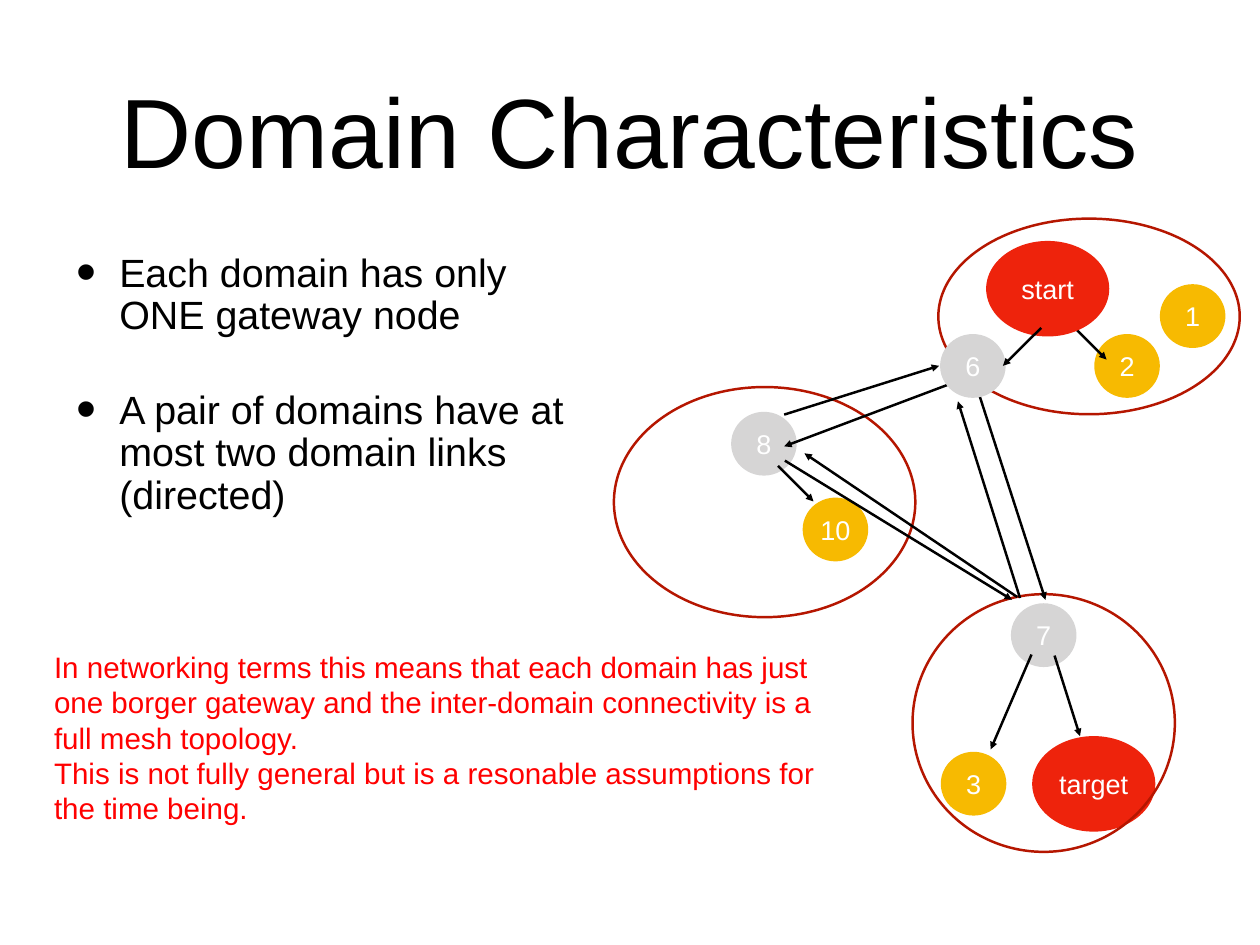
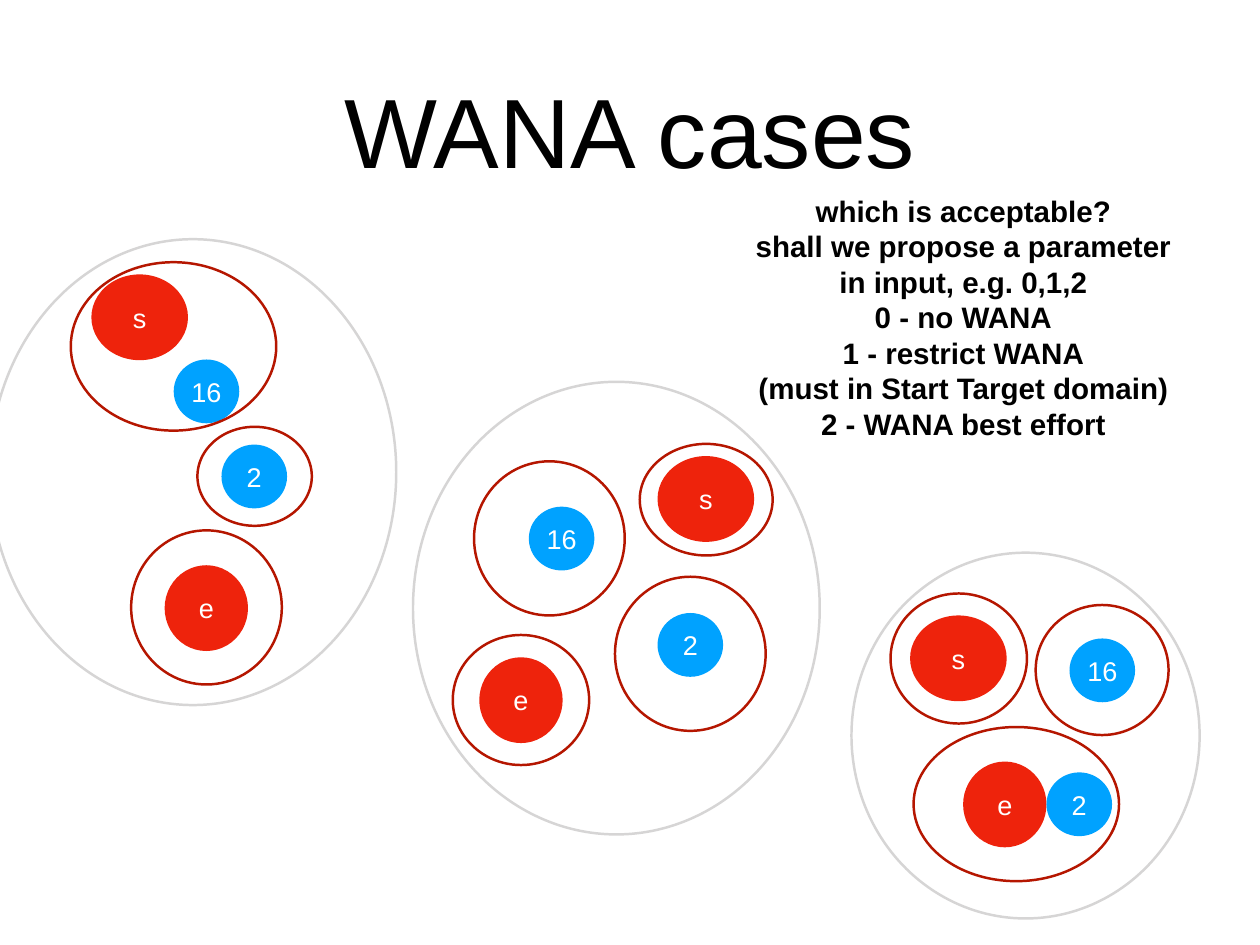
from lxml import etree
from pptx import Presentation
from pptx import util as u
from pptx.dml import color as c
from pptx.enum import shapes, text
from pptx.oxml import ns

FONT = "Arial"
BLACK, WHITE, NOTE_RED = "000000", "FFFFFF", "FF0000"
RED, GREY, YELLOW, BLUE, RING = "EE230C", "D6D5D5", "F7BA01", "00A2FF", "B51600"
INSET = 0.15
LINE_WIDTH = 2
NODE_SIZE = (1.88, 1.83)
ENDPOINT_SIZE = (3.53, 2.74)
START_SIZE = (2.77, 2.46)
END_SIZE = (2.39, 2.46)

RINGS = [
    (26.9, 6.27, 8.64, 5.61),
    (26.16, 17.04, 7.52, 7.39),
    (17.6, 11.1, 8.64, 6.6),
]
DOMAIN_NODES = [
    ("8", 20.96, 11.81, GREY),
    ("7", 28.98, 17.3, GREY),
    ("1", 33.25, 8.15, YELLOW),
    ("2", 31.37, 9.58, YELLOW),
    ("3", 26.97, 21.56, YELLOW),
    ("10", 23.01, 14.27, YELLOW),
]
ARROWS_BELOW_START = [
    (27.61, 10.87, 22.48, 12.8),
    (30.71, 9.3, 31.72, 10.31),
    (27.99, 11.07, 29.97, 17.2),
]
ARROWS_ABOVE = [
    (22.3, 13.36, 23.32, 14.38),
    (29.57, 18.77, 28.4, 21.49),
    (30.23, 18.8, 30.96, 21.11),
    (29.85, 9.4, 28.75, 10.49),
    (22.5, 13.21, 29.01, 17.2),
    (29.16, 17.12, 23.06, 13),
    (29.24, 17.15, 27.46, 11.51),
    (22.48, 11.89, 26.92, 10.49),
]

CASE_NODE_STYLES = {
    "s": (START_SIZE, RED),
    "e": (END_SIZE, RED),
    "16": (NODE_SIZE, BLUE),
    "2": (NODE_SIZE, BLUE),
}
CASES = [
    {
        "outline": (-0.3, 6.86, 11.66, 13.36),
        "nodes": {"s": (2.62, 7.87), "e": (4.72, 16.21), "2": (6.35, 12.75), "16": (4.98, 10.31)},
        "rings": [(2.03, 7.52, 5.89, 4.83), (3.76, 15.21, 4.32, 4.42), (5.66, 12.24, 3.28, 2.84)],
    },
    {
        "outline": (11.84, 10.95, 11.66, 12.98),
        "nodes": {"s": (18.85, 13.08), "16": (15.16, 14.53), "e": (13.74, 18.85), "2": (18.85, 17.58)},
        "rings": [(18.34, 12.73, 3.81, 3.2), (12.98, 18.21, 3.91, 3.73),
                  (17.63, 16.54, 4.32, 4.42), (13.59, 13.23, 4.32, 4.42)],
    },
    {
        "outline": (24.41, 15.85, 9.98, 10.49),
        "nodes": {"s": (26.09, 17.65), "16": (30.66, 18.31), "e": (27.61, 21.84), "2": (30, 22.15)},
        "rings": [(25.53, 17.02, 3.91, 3.73), (26.19, 20.85, 5.89, 4.42), (29.69, 17.35, 3.81, 3.73)],
    },
]


def rgb(value):
    return c.RGBColor.from_string(value)


def add_bullet(paragraph):
    properties = paragraph._p.get_or_add_pPr()
    properties.set("marL", str(u.Cm(1.24)))
    properties.set("indent", str(-u.Cm(1.24)))
    for tag, name, value in (("buSzPct", "val", "145000"),
                             ("buFont", "typeface", FONT),
                             ("buChar", "char", "•")):
        etree.SubElement(properties, ns.qn(f"a:{tag}")).set(name, value)


def write(shape, *lines, size=22, colour=BLACK, bold=False, centred=True, wrap=True,
          bullets=False, line_spacing=None, space_before=None):
    frame = shape.text_frame
    frame.word_wrap = wrap
    frame.vertical_anchor = text.MSO_ANCHOR.MIDDLE
    frame.margin_left = frame.margin_right = u.Cm(INSET)
    frame.margin_top = frame.margin_bottom = u.Cm(INSET)
    for index, line in enumerate(lines):
        paragraph = frame.add_paragraph() if index else frame.paragraphs[0]
        paragraph.alignment = text.PP_ALIGN.CENTER if centred else text.PP_ALIGN.LEFT
        if line_spacing:
            paragraph.line_spacing = line_spacing
        if space_before:
            paragraph.space_before = u.Pt(space_before)
        if bullets:
            add_bullet(paragraph)
        run = paragraph.add_run()
        run.text = line
        run.font.name = FONT
        run.font.size = u.Pt(size)
        run.font.bold = bold
        run.font.color.rgb = rgb(colour)


def add_text(slide, box, *lines, **style):
    write(slide.shapes.add_textbox(*map(u.Cm, box)), *lines, **style)


def add_ellipse(slide, box):
    shape = slide.shapes.add_shape(shapes.MSO_SHAPE.OVAL, *map(u.Cm, box))
    shape.shadow.inherit = False
    return shape


def add_ring(slide, box, colour=RING):
    shape = add_ellipse(slide, box)
    shape.fill.background()
    shape.line.color.rgb = rgb(colour)
    shape.line.width = u.Pt(LINE_WIDTH)


def add_node(slide, label, left, top, fill, size=NODE_SIZE):
    shape = add_ellipse(slide, (left, top, *size))
    shape.fill.solid()
    shape.fill.fore_color.rgb = rgb(fill)
    shape.line.fill.background()
    write(shape, label, colour=WHITE)


def add_arrow(slide, ends):
    connector = slide.shapes.add_connector(shapes.MSO_CONNECTOR.STRAIGHT, *map(u.Cm, ends))
    connector.line.color.rgb = rgb(BLACK)
    connector.line.width = u.Pt(LINE_WIDTH)
    properties = connector.element.spPr
    line = properties.find(ns.qn("a:ln"))
    etree.SubElement(line, ns.qn("a:tailEnd")).set("type", "triangle")
    etree.SubElement(properties, ns.qn("a:effectLst"))


def add_slide(presentation, title):
    slide = presentation.slides.add_slide(presentation.slide_layouts[6])
    add_text(slide, (2.64, 0.71, 30.84, 5.99), title, size=80)
    return slide


def build_domains(presentation):
    slide = add_slide(presentation, "Domain Characteristics")
    add_node(slide, "target", 29.59, 21.11, RED, ENDPOINT_SIZE)
    for box in RINGS:
        add_ring(slide, box)
    for node in DOMAIN_NODES:
        add_node(slide, *node)
    for ends in ARROWS_BELOW_START:
        add_arrow(slide, ends)
    add_node(slide, "start", 28.27, 6.91, RED, ENDPOINT_SIZE)
    add_node(slide, "6", 26.95, 9.58, GREY)
    for ends in ARROWS_ABOVE:
        add_arrow(slide, ends)
    add_text(slide, (2.03, 6.93, 15.42, 8.25),
             "Each domain has only ONE gateway node",
             "A pair of domains have at most two domain links (directed)",
             size=32, centred=False, bullets=True, line_spacing=0.9, space_before=42)
    add_text(slide, (1.4, 18.44, 22.76, 5.41),
             "In networking terms this means that each domain has just one borger gateway "
             "and the inter-domain connectivity is a full mesh topology.",
             "This is not fully general but is a resonable assumptions for the time being.",
             size=24, colour=NOTE_RED, centred=False)


def build_cases(presentation):
    slide = add_slide(presentation, "WANA cases")
    for case in CASES:
        for label, (left, top) in case["nodes"].items():
            size, fill = CASE_NODE_STYLES[label]
            add_node(slide, label, left, top, fill, size)
        for box in case["rings"]:
            add_ring(slide, box)
        add_ring(slide, case["outline"], GREY)
    add_text(slide, (21.34, 5.38, 12.55, 7.42),
             "which is acceptable?",
             "shall we propose a parameter",
             "in input, e.g. 0,1,2",
             "0 - no WANA",
             "1 - restrict WANA",
             "(must in Start Target domain)",
             "2 - WANA best effort",
             size=24, bold=True, wrap=False)


def main():
    presentation = Presentation()
    presentation.slide_width = u.Cm(36.12)
    presentation.slide_height = u.Cm(27.1)
    build_domains(presentation)
    build_cases(presentation)
    presentation.save("out.pptx")


if __name__ == "__main__":
    main()
